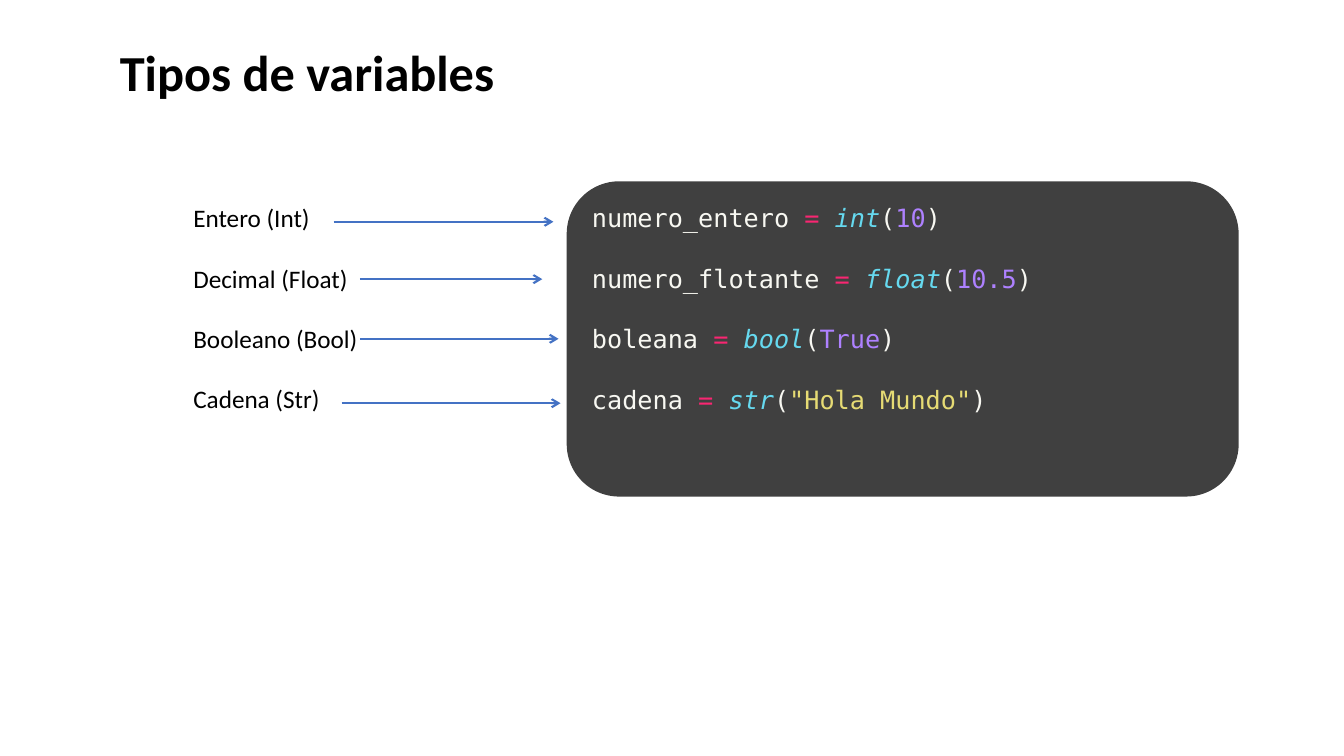
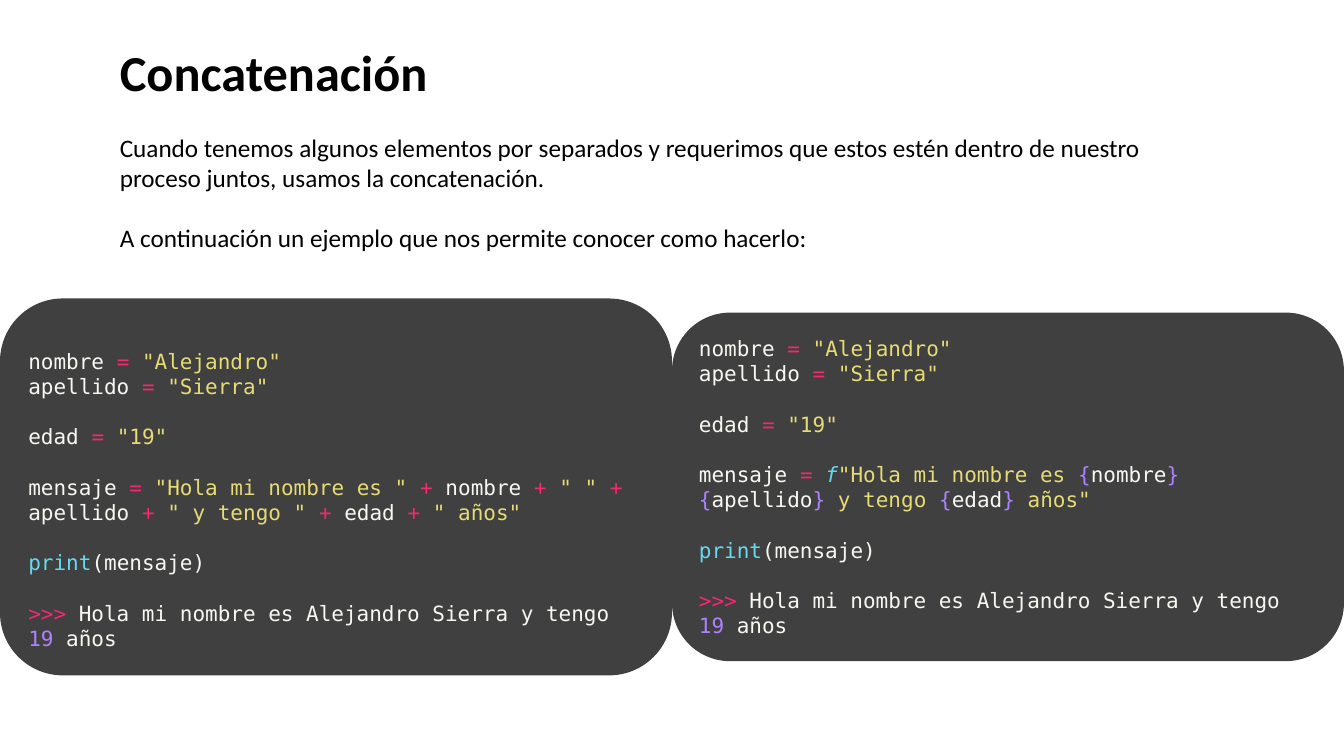
from lxml.etree import SubElement
from pptx import Presentation
from pptx.dml.color import RGBColor
from pptx.enum.shapes import MSO_CONNECTOR as CONN, MSO_SHAPE as SHAPE
from pptx.enum.text import MSO_ANCHOR as ANCHOR, PP_ALIGN as ALIGN
from pptx.oxml.ns import qn
from pptx.util import Pt

BLACK = RGBColor(0x00, 0x00, 0x00)
PANEL = RGBColor(0x40, 0x40, 0x40)
ARROW = RGBColor(0x44, 0x72, 0xC4)
PLAIN = RGBColor(0xF8, 0xF8, 0xF2)
OPERATOR = RGBColor(0xF9, 0x26, 0x72)
BUILTIN = RGBColor(0x66, 0xD9, 0xEF)
VALUE = RGBColor(0xAE, 0x81, 0xFF)
STRING = RGBColor(0xE6, 0xDB, 0x74)

SANS, MONO = "Calibri", "DejaVu Sans Mono"
LEADING = 1.2
MARGIN = 78.5
EQUALS = ("= ", OPERATOR)


def write(p, text, color=BLACK, italic=False, size=18, font=SANS, bold=False):
    """Add one formatted run to a paragraph."""
    r = p.add_run()
    r.text = text
    f = r.font
    f.name, f.size, f.bold, f.italic = font, Pt(size), bold, italic
    f.color.rgb = color


def write_lines(tf, lines, size=18, **style):
    """Fill a frame with (blank lines before, runs) pairs on a fixed leading."""
    tf.word_wrap = True
    for i, (gap, runs) in enumerate(lines):
        p = tf.add_paragraph() if i else tf.paragraphs[0]
        p.alignment = ALIGN.LEFT
        p.line_spacing = Pt(size * LEADING)
        p.space_before = Pt(gap * size * LEADING)
        for run in runs:
            write(p, *run, size=size, **style)


def add_text(s, box, lines, **style):
    """Place a text box."""
    tb = s.shapes.add_textbox(*map(Pt, box))
    write_lines(tb.text_frame, lines, **style)


def add_title(s, text):
    """Place the slide title."""
    add_text(s, (MARGIN, 26, 423, 94), [(0, [(text,)])], size=36, bold=True)


def add_code(s, box, lines, size, blank_top=0, blank_bottom=0):
    """Place a dark rounded panel of code, keeping blank lines at its ends."""
    sp = s.shapes.add_shape(SHAPE.ROUNDED_RECTANGLE, *map(Pt, box))
    sp.shadow.inherit = False
    sp.fill.solid()
    sp.fill.fore_color.rgb = PANEL
    sp.line.fill.background()
    tf = sp.text_frame
    tf.vertical_anchor = ANCHOR.MIDDLE
    tf.margin_top = Pt(3.6 + blank_top * size * LEADING)
    tf.margin_bottom = Pt(3.6 + blank_bottom * size * LEADING)
    write_lines(tf, lines, size=size, font=MONO)


def add_arrow(s, x1, x2, y):
    """Draw a horizontal arrow pointing right."""
    c = s.shapes.add_connector(CONN.STRAIGHT, Pt(x1), Pt(y), Pt(x2), Pt(y))
    c.line.color.rgb = ARROW
    c.line.width = Pt(1.5)
    SubElement(c.line._get_or_add_ln(), qn("a:tailEnd"), type="arrow")
    SubElement(c._element.spPr, qn("a:effectLst"))


def add_type_labels(s, box, rows):
    """Place the type names and, relative to the box, their arrows."""
    x, y = box[:2]
    add_text(s, box, [(int(i > 0), [(row[0],)]) for i, row in enumerate(rows)])
    for _, start, end, drop in rows:
        add_arrow(s, x + start, x + end, y + drop)


def conversion(name, kind, value, color):
    """Return the runs of an assignment that converts a value."""
    return [(name + " ", PLAIN), EQUALS, (kind, BUILTIN, True),
            ("(", PLAIN), (value, color), (")", PLAIN)]


def greeting(message):
    """Return the code lines of the greeting built with the given message."""
    def assign(name, text):
        return [(name + " ", PLAIN), EQUALS, (text, STRING)]

    return [
        (0, assign("nombre", '"Alejandro"')),
        (0, assign("apellido", '"Sierra"')),
        (1, assign("edad", '"19"')),
        (1, [("mensaje ", PLAIN), EQUALS] + message),
        (1, [("print", BUILTIN), ("(mensaje)", PLAIN)]),
        (1, [(">>>", OPERATOR),
             (" Hola mi nombre es Alejandro Sierra y tengo ", PLAIN),
             ("19", VALUE), (" años", PLAIN)]),
    ]


def variables_slide(s):
    """Build the slide on variable types."""
    add_title(s, "Tipos de variables")
    add_type_labels(s, (131, 141, 184, 204), [
        ("Entero (Int)", 107.3, 264.3, 17.4),
        ("Decimal (Float)", 126, 256.4, 58.4),
        ("Booleano (Bool)", 126, 268, 101),
        ("Cadena (Str)", 113, 269.4, 147),
    ])
    code = [
        conversion("numero_entero", "int", "10", VALUE),
        conversion("numero_flotante", "float", "10.5", VALUE),
        conversion("boleana", "bool", "True", VALUE),
        conversion("cadena", "str", '"Hola Mundo"', STRING),
    ]
    add_code(s, (404.8, 129.5, 480, 225.2),
             [(int(i > 0), runs) for i, runs in enumerate(code)],
             18, blank_bottom=2)


def concatenation_slide(s):
    """Build the slide on joining strings."""
    add_title(s, "Concatenación")
    add_text(s, (MARGIN, 90.7, 802, 138), [
        (0, [("Cuando tenemos algunos elementos por separados y requerimos que "
              "estos estén dentro de nuestro proceso juntos, usamos la "
              "concatenación.",)]),
        (1, [("A continuación un ejemplo que nos permite conocer como "
              "hacerlo:",)]),
    ])
    joined = [
        ('"Hola mi nombre es " ', STRING), ("+", OPERATOR),
        (" nombre ", PLAIN), ("+ ", OPERATOR), ('" " ', STRING),
        ("+", OPERATOR), (" apellido ", PLAIN), ("+ ", OPERATOR),
        ('" y tengo " ', STRING), ("+", OPERATOR), (" edad ", PLAIN),
        ("+ ", OPERATOR), ('" años"', STRING),
    ]
    formatted = [
        ("f", BUILTIN, True), ('"Hola mi nombre es ', STRING),
        ("{", VALUE), ("nombre", PLAIN), ("} {", VALUE),
        ("apellido", PLAIN), ("}", VALUE), (" y tengo ", STRING),
        ("{", VALUE), ("edad", PLAIN), ("}", VALUE), (' años"', STRING),
    ]
    add_code(s, (0, 213.2, 480, 269.2), greeting(joined), 15, blank_top=1)
    add_code(s, (480, 223.3, 480, 249), greeting(formatted), 15)


def main():
    """Build and save the presentation."""
    prs = Presentation()
    prs.slide_width, prs.slide_height = Pt(960), Pt(540)
    for build in (variables_slide, concatenation_slide):
        build(prs.slides.add_slide(prs.slide_layouts[6]))
    prs.save("out.pptx")


if __name__ == "__main__":
    main()
